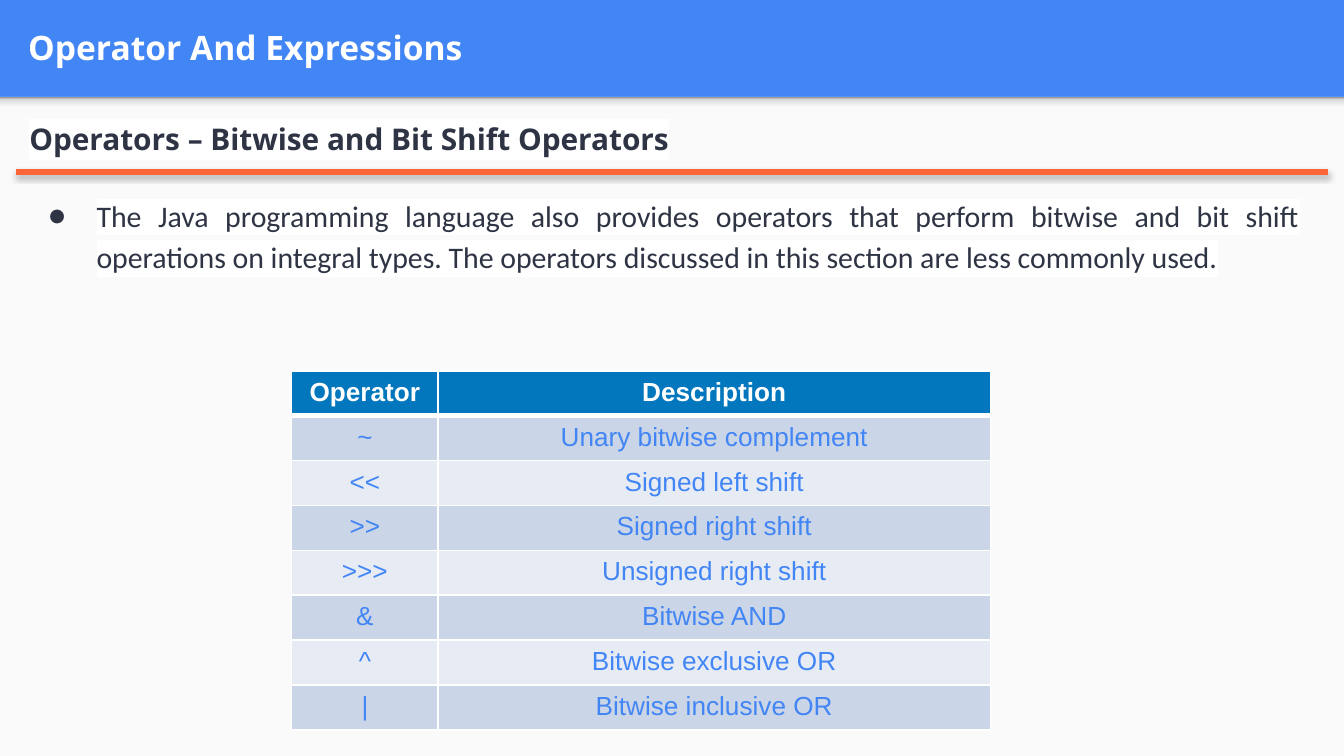
from lxml import etree
from pptx import Presentation
from pptx.dml.color import RGBColor
from pptx.enum import shapes, text
from pptx.oxml import parse_xml
from pptx.oxml.ns import nsdecls, qn
from pptx.util import Inches, Pt


class Theme:
    """Colours, fonts and type sizes of the slide."""
    blue, panel, white = "4285F4", "FAFAFA", "FFFFFF"
    ink, orange, header = "2E3444", "FC6536", "0277BD"
    bands = ("CAD5E7", "E6EBF4")
    shade = ((0, "F9F9F9"), (36, "F9F9F9"), (80, "DEDEDE"), (100, "999999"))
    heading_font, body_font, table_font = "Open Sans", "Calibri", "Arial"
    title_size, body_size, table_size = 18, 16, 14


def style_text(paragraph, font, size, color, bold=False, highlight=None):
    """Format every run of a paragraph."""
    for run in paragraph.runs:
        run.font.name, run.font.size, run.font.bold = font, Pt(size), bold
        run.font.color.rgb = RGBColor.from_string(color)
        if highlight:
            fill = run._r.rPr.find(qn("a:solidFill"))
            fill.addnext(parse_xml(f'<a:highlight {nsdecls("a")}><a:srgbClr val="{highlight}"/></a:highlight>'))


def add_border(cell, side, width):
    """Draw one white cell border of the given point width."""
    line = etree.SubElement(cell._tc.get_or_add_tcPr(), qn(f"a:ln{side}"), w=str(Pt(width)))
    fill = etree.SubElement(line, qn("a:solidFill"))
    etree.SubElement(fill, qn("a:srgbClr"), val=Theme.white)


presentation = Presentation()
presentation.slide_width = Inches(10)
presentation.slide_height = Inches(10) * 9 // 16
slide = presentation.slides.add_slide(presentation.slide_layouts[5])
slide.background.fill.solid()
slide.background.fill.fore_color.rgb = RGBColor.from_string(Theme.blue)

# Content panel and the shade under the title band
band_height = Inches(0.72)
panel, shade = [
    slide.shapes.add_shape(shapes.MSO_SHAPE.RECTANGLE, 0, band_height, Inches(10), height)
    for height in (presentation.slide_height - band_height, Inches(0.12))
]
for shape in (panel, shade):
    shape.shadow.inherit = False
    shape.line.fill.background()
panel.fill.solid()
panel.fill.fore_color.rgb = RGBColor.from_string(Theme.panel)
stops = "".join(
    f'<a:gs pos="{position * 1000}"><a:srgbClr val="{color}"/></a:gs>' for position, color in Theme.shade
)
shade._element.spPr.find(qn("a:prstGeom")).addnext(parse_xml(
    f'<a:gradFill {nsdecls("a")}><a:gsLst>{stops}</a:gsLst><a:lin ang="16200000" scaled="0"/></a:gradFill>'
))

# Title and body text
title = slide.shapes.title
title.left, title.top, title.width, title.height = Inches(0.11), Inches(0.02), Inches(9.65), Inches(0.66)
body = slide.shapes.add_textbox(Inches(0.12), Inches(0.76), Inches(9.65), Inches(1.36))
for shape, anchor in ((title, text.MSO_ANCHOR.MIDDLE), (body, text.MSO_ANCHOR.TOP)):
    frame = shape.text_frame
    frame.word_wrap, frame.vertical_anchor = True, anchor
    frame.margin_left = frame.margin_right = frame.margin_top = frame.margin_bottom = Inches(0.1)

title.text_frame.text = "Operator And Expressions"
title_paragraph = title.text_frame.paragraphs[0]
title_paragraph.alignment = text.PP_ALIGN.LEFT
style_text(title_paragraph, Theme.heading_font, Theme.title_size, Theme.white, bold=True)

body.text_frame.text = (
    "Operators – Bitwise and Bit Shift Operators\n"
    "The Java programming language also provides operators that perform bitwise and bit shift "
    "operations on integral types. The operators discussed in this section are less commonly used."
)
heading, bullet = body.text_frame.paragraphs
heading.line_spacing = bullet.line_spacing = 1.15
style_text(heading, Theme.heading_font, Theme.body_size, Theme.ink, True, Theme.white)
style_text(bullet, Theme.body_font, Theme.body_size, Theme.ink, False, Theme.white)
bullet.alignment = text.PP_ALIGN.JUSTIFY
bullet.space_before = Pt(19)
properties = bullet._p.get_or_add_pPr()
properties.set("marL", str(Inches(0.5)))
properties.set("indent", str(Inches(-0.36)))
bullet_color = etree.SubElement(properties, qn("a:buClr"))
etree.SubElement(bullet_color, qn("a:srgbClr"), val=Theme.ink)
etree.SubElement(properties, qn("a:buFont"), typeface=Theme.body_font)
etree.SubElement(properties, qn("a:buChar"), char="●")

# Rule under the heading, with a soft shadow
rule = slide.shapes.add_connector(
    shapes.MSO_CONNECTOR.STRAIGHT, Inches(0.12), Inches(1.28), Inches(9.88), Inches(1.28)
)
rule.line.color.rgb = RGBColor.from_string(Theme.orange)
rule.line.width = Pt(3)
rule._element.spPr.append(parse_xml(
    f'<a:effectLst {nsdecls("a")}><a:outerShdw blurRad="{Pt(3.1)}" dist="{Pt(1.8)}" dir="5400000" '
    'rotWithShape="0"><a:srgbClr val="000000"><a:alpha val="35000"/></a:srgbClr></a:outerShdw></a:effectLst>'
))

# Operator table
operators = [
    ("Operator", "Description"),
    ("~", "Unary bitwise complement"),
    ("<<", "Signed left shift"),
    (">>", "Signed right shift"),
    (">>>", "Unsigned right shift"),
    ("&", "Bitwise AND"),
    ("^", "Bitwise exclusive OR"),
    ("|", "Bitwise inclusive OR"),
]
row_height = 0.33
table = slide.shapes.add_table(
    len(operators), 2, Inches(2.17), Inches(2.76), Inches(5.2), Inches(row_height * len(operators))
).table
for column, width in zip(table.columns, (1.09, 4.11)):
    column.width = Inches(width)
for row, values in enumerate(operators):
    is_header = row == 0
    fill_color = Theme.header if is_header else Theme.bands[(row - 1) % 2]
    for column, value in enumerate(values):
        cell = table.cell(row, column)
        cell.text_frame.text = value
        paragraph = cell.text_frame.paragraphs[0]
        paragraph.alignment = text.PP_ALIGN.CENTER
        text_color = Theme.white if is_header else Theme.blue
        style_text(paragraph, Theme.table_font, Theme.table_size, text_color, is_header)
        for side in "LRTB":
            heavy = (is_header and side == "B") or (row == 1 and side == "T")
            add_border(cell, side, 3 if heavy else 1)
        cell.fill.solid()
        cell.fill.fore_color.rgb = RGBColor.from_string(fill_color)

presentation.save("out.pptx")
